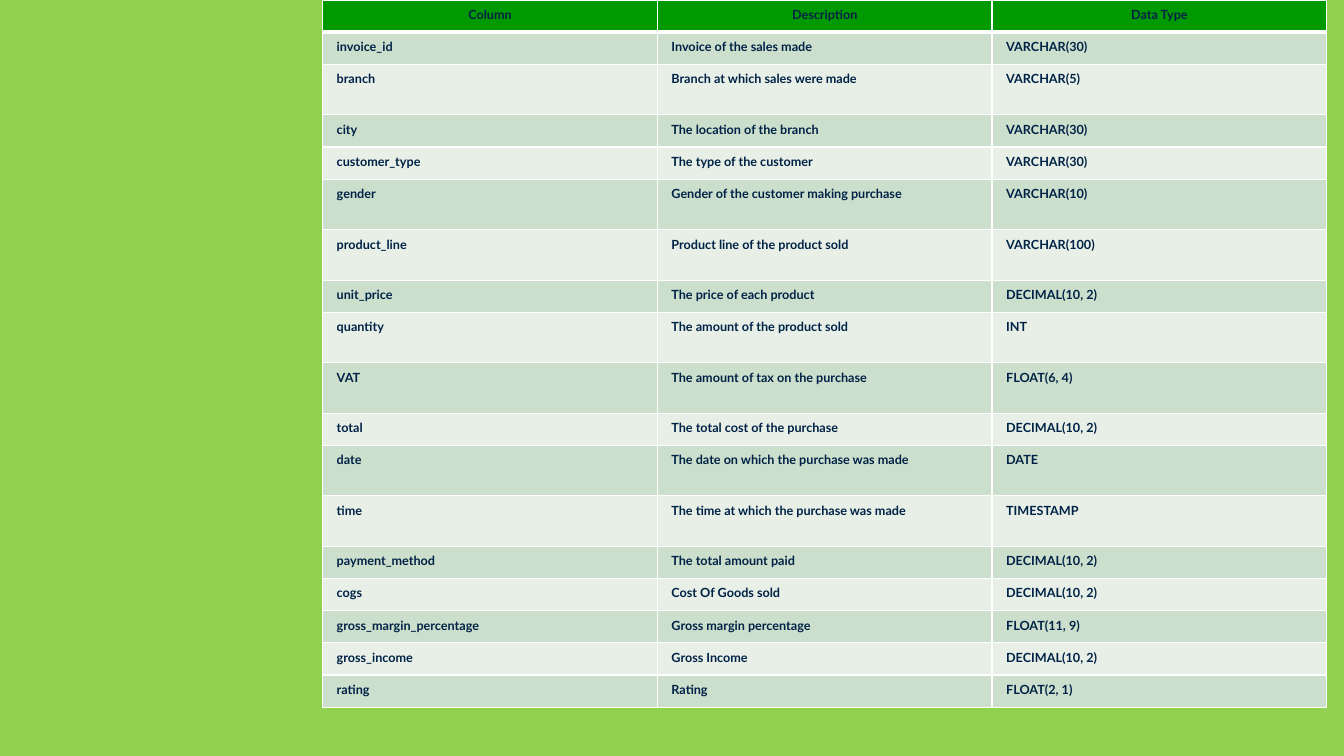
from dataclasses import dataclass

from lxml.etree import SubElement
from pptx import Presentation
from pptx.dml.color import RGBColor as RGB
from pptx.enum.text import PP_ALIGN as Align
from pptx.oxml.ns import qn
from pptx.util import Inches, Pt

# Content: column, description, data type
HEADER = ("Column", "Description", "Data Type")
FIELDS = [
    ("invoice_id", "Invoice of the sales made", "VARCHAR(30)"),
    ("branch", "Branch at which sales were made", "VARCHAR(5)"),
    ("city", "The location of the branch", "VARCHAR(30)"),
    ("customer_type", "The type of the customer", "VARCHAR(30)"),
    ("gender", "Gender of the customer making purchase", "VARCHAR(10)"),
    ("product_line", "Product line of the product sold", "VARCHAR(100)"),
    ("unit_price", "The price of each product", "DECIMAL(10, 2)"),
    ("quantity", "The amount of the product sold", "INT"),
    ("VAT", "The amount of tax on the purchase", "FLOAT(6, 4)"),
    ("total", "The total cost of the purchase", "DECIMAL(10, 2)"),
    ("date", "The date on which the purchase was made", "DATE"),
    ("time", "The time at which the purchase was made", "TIMESTAMP"),
    ("payment_method", "The total amount paid", "DECIMAL(10, 2)"),
    ("cogs", "Cost Of Goods sold", "DECIMAL(10, 2)"),
    ("gross_margin_percentage", "Gross margin percentage", "FLOAT(11, 9)"),
    ("gross_income", "Gross Income", "DECIMAL(10, 2)"),
    ("rating", "Rating", "FLOAT(2, 1)"),
]
TALL = {"branch", "gender", "product_line", "quantity", "VAT", "date", "time"}


@dataclass(frozen=True)
class Theme:
    font: str = "Lato"
    size: float = 9
    text: str = "002246"
    background: str = "92D050"
    header: str = "009900"
    bands: tuple = ("CCDECC", "E7EFE7")
    border: str = "FFFFFF"
    thin: float = 1
    thick: float = 3


T = Theme()

# Grid, in inches
WIDTH, HEIGHT = 13.33, 7.5
LEFT, COL_W = 3.2, 3.32
ROW_H, TALL_H = 0.32, 0.5
PAD_X, PAD_Y = 0.14, 0.07


def add_borders(cell, top, bottom):
    tc_pr = cell._tc.get_or_add_tcPr()
    widths = {"a:lnL": T.thin, "a:lnR": T.thin, "a:lnT": top, "a:lnB": bottom}
    for tag, width in widths.items():
        ln = SubElement(tc_pr, qn(tag), w=str(Pt(width)))
        fill = SubElement(ln, qn("a:solidFill"))
        SubElement(fill, qn("a:srgbClr"), val=T.border)


def fill_cell(cell, text, row):
    add_borders(cell, T.thick if row == 1 else T.thin,
                T.thick if row == 0 else T.thin)
    cell.fill.solid()
    color = T.bands[(row - 1) % 2] if row else T.header
    cell.fill.fore_color.rgb = RGB.from_string(color)
    cell.margin_left = cell.margin_right = Inches(PAD_X)
    cell.margin_top = cell.margin_bottom = Inches(PAD_Y)
    p = cell.text_frame.paragraphs[0]
    p.alignment = Align.LEFT if row else Align.CENTER
    p.space_after = Pt(12)
    r = p.add_run()
    r.text = text
    r.font.name, r.font.size, r.font.bold = T.font, Pt(T.size), True
    r.font.color.rgb = RGB.from_string(T.text)


# Slide
prs = Presentation()
prs.slide_width, prs.slide_height = Inches(WIDTH), Inches(HEIGHT)
s = prs.slides.add_slide(prs.slide_layouts[6])
s.background.fill.solid()
s.background.fill.fore_color.rgb = RGB.from_string(T.background)

# Data dictionary table
rows = [HEADER, *FIELDS]
heights = [TALL_H if row[0] in TALL else ROW_H for row in rows]
table = s.shapes.add_table(
    len(rows), len(HEADER), Inches(LEFT), 0,
    Inches(COL_W * len(HEADER)), Inches(sum(heights))).table
for column in table.columns:
    column.width = Inches(COL_W)
for i, (row, height) in enumerate(zip(rows, heights)):
    table.rows[i].height = Inches(height)
    for j, text in enumerate(row):
        fill_cell(table.cell(i, j), text, i)

prs.save("out.pptx")
